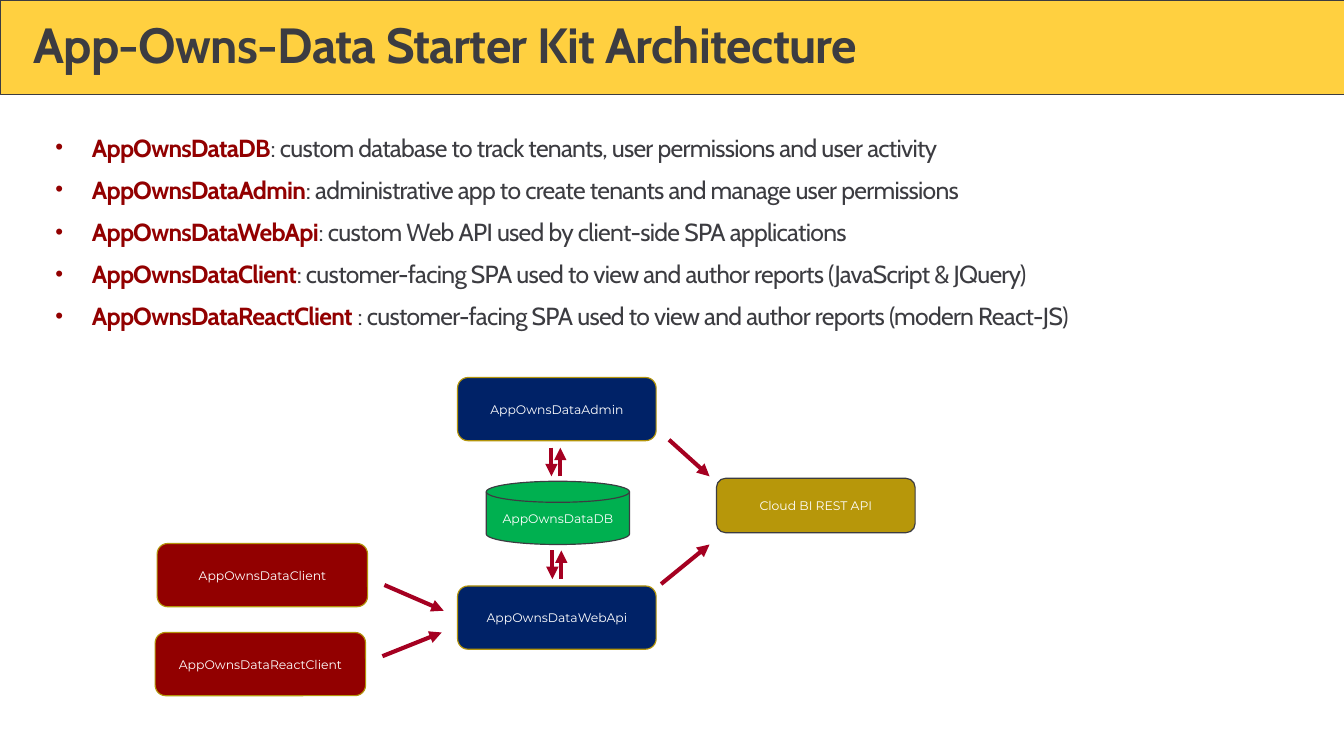
from lxml.etree import SubElement
from pptx import Presentation
from pptx.dml.color import RGBColor
from pptx.enum.shapes import MSO_CONNECTOR, MSO_SHAPE
from pptx.enum.text import MSO_ANCHOR, PP_ALIGN
from pptx.oxml.ns import qn
from pptx.util import Inches, Pt

INK, RED, WHITE = "3C3C41", "920000", "FFFFFF"
YELLOW, GOLD, OCHRE = "FFD040", "B3940B", "B7970A"
NAVY, GREEN, ARROW_RED = "002267", "00B050", "A50021"

COMPONENTS = [
    ("AppOwnsDataDB", ": custom database to track tenants, user permissions and user activity"),
    ("AppOwnsDataAdmin", ": administrative app to create tenants and manage user permissions"),
    ("AppOwnsDataWebApi", ": custom Web API used by client-side SPA applications"),
    ("AppOwnsDataClient", ": customer-facing SPA used to view and author reports (JavaScript & JQuery)"),
    ("AppOwnsDataReactClient", " : customer-facing SPA used to view and author reports (modern React-JS)"),
]

# Diagram nodes: label, preset, left, top, width, height, fill, line
NODES = [
    ("AppOwnsDataDB", MSO_SHAPE.FLOWCHART_MAGNETIC_DISK, 3.35, 1.05, 1.45, 0.64, GREEN, INK),
    ("AppOwnsDataAdmin", MSO_SHAPE.ROUNDED_RECTANGLE, 3.06, 0, 2.01, 0.64, NAVY, GOLD),
    ("Cloud BI REST API", MSO_SHAPE.ROUNDED_RECTANGLE, 5.68, 1.02, 2.01, 0.55, OCHRE, INK),
    ("AppOwnsDataWebApi", MSO_SHAPE.ROUNDED_RECTANGLE, 3.06, 2.11, 2.01, 0.64, NAVY, GOLD),
    ("AppOwnsDataClient", MSO_SHAPE.ROUNDED_RECTANGLE, 0.02, 1.68, 2.13, 0.64, RED, GOLD),
    ("AppOwnsDataReactClient", MSO_SHAPE.ROUNDED_RECTANGLE, 0, 2.58, 2.13, 0.64, RED, GOLD),
]

# Slanted arrows: start x, start y, end x, end y
ARROWS = [
    (5.2, 0.63, 5.61, 1.0),    # admin to REST API
    (5.12, 2.09, 5.61, 1.69),  # web API to REST API
    (2.32, 2.1, 2.92, 2.36),   # client to web API
    (2.3, 2.82, 2.9, 2.58),    # React client to web API
]
# Two-way pairs above and below the database: left x, top y
TWO_WAY = [(4.01, 0.71), (4.02, 1.75)]


def rgb(value):
    return RGBColor.from_string(value)


def add_run(p, text, color, spacing=None, **font):
    r = p.add_run()
    r.text = text
    for name, value in font.items():
        setattr(r.font, name, value)
    r.font.color.rgb = rgb(color)
    if spacing is not None:
        r.font._element.set("spc", str(int(spacing * 100)))


def add_box(s, preset, left, top, width, height, fill, line, line_width):
    sp = s.shapes.add_shape(preset, Inches(left), Inches(top), Inches(width), Inches(height))
    sp.shadow.inherit = False
    sp.fill.solid()
    sp.fill.fore_color.rgb = rgb(fill)
    sp.line.color.rgb = rgb(line)
    sp.line.width = Pt(line_width)
    return sp


def add_text_frame(s, left, top, width, height, anchor):
    tf = s.shapes.add_textbox(Inches(left), Inches(top), Inches(width), Inches(height)).text_frame
    settings = {"word_wrap": True, "vertical_anchor": anchor, "margin_left": 0,
                "margin_right": 0, "margin_top": 0, "margin_bottom": 0}
    for name, value in settings.items():
        setattr(tf, name, value)
    return tf


def add_bullet(p, indent):
    pPr = p._p.get_or_add_pPr()
    pPr.set("marL", str(Inches(indent)))
    pPr.set("indent", str(-Inches(indent)))
    SubElement(pPr, qn("a:buSzPct"), val="90000")
    SubElement(pPr, qn("a:buFont"), typeface="Arial")
    SubElement(pPr, qn("a:buChar"), char="•")


def add_arrow(s, x1, y1, x2, y2):
    c = s.shapes.add_connector(MSO_CONNECTOR.STRAIGHT, Inches(x1), Inches(y1), Inches(x2), Inches(y2))
    c.line.color.rgb = rgb(ARROW_RED)
    c.line.width = Pt(3)
    SubElement(c.line._get_or_add_ln(), qn("a:tailEnd"), type="triangle")
    SubElement(c._element.spPr, qn("a:effectLst"))


def add_title_band(s, left, top, width, height):
    add_box(s, MSO_SHAPE.RECTANGLE, left, top, width, height, YELLOW, INK, 0.5)
    tf = add_text_frame(s, left + 0.34, top + 0.21, width - 0.69, 0.55, MSO_ANCHOR.MIDDLE)
    p = tf.paragraphs[0]
    p.line_spacing = 0.9
    add_run(p, "App-Owns-Data Starter Kit Architecture", INK, -0.5,
            name="Cabin", size=Pt(36), bold=True)


def add_component_list(s, left, top, width, height):
    tf = add_text_frame(s, left, top, width, height, MSO_ANCHOR.TOP)
    for i, (name, description) in enumerate(COMPONENTS):
        p = tf.add_paragraph() if i else tf.paragraphs[0]
        p.space_before, p.space_after = Pt(3), Pt(6)
        add_bullet(p, 0.37)
        for text, color, bold in ((name, RED, True), (description, INK, False)):
            add_run(p, text, color, -0.5, name="Cabin", size=Pt(18), bold=bold)


def add_diagram(s, left, top):
    # Nodes
    for label, preset, x, y, width, height, fill, line in NODES:
        sp = add_box(s, preset, left + x, top + y, width, height, fill, line, 0.85)
        tf = sp.text_frame
        tf.word_wrap = True
        tf.vertical_anchor = MSO_ANCHOR.MIDDLE
        p = tf.paragraphs[0]
        p.alignment = PP_ALIGN.CENTER
        add_run(p, label, WHITE, name="Montserrat", size=Pt(9))
    # Arrows, each pair pointing down then up
    pairs = [arrow for x, y in TWO_WAY
             for arrow in ((x, y, x, y + 0.29), (x + 0.09, y + 0.29, x + 0.09, y))]
    for x1, y1, x2, y2 in ARROWS + pairs:
        add_arrow(s, left + x1, top + y1, left + x2, top + y2)


def main():
    prs = Presentation()
    prs.slide_width, prs.slide_height = Inches(13.6), Inches(7.65)
    s = prs.slides.add_slide(prs.slide_layouts[6])
    add_title_band(s, 0, 0, 13.6, 0.96)
    add_component_list(s, 0.56, 1.34, 12.69, 2.45)
    add_diagram(s, 1.57, 3.82)
    prs.save("out.pptx")


if __name__ == "__main__":
    main()
